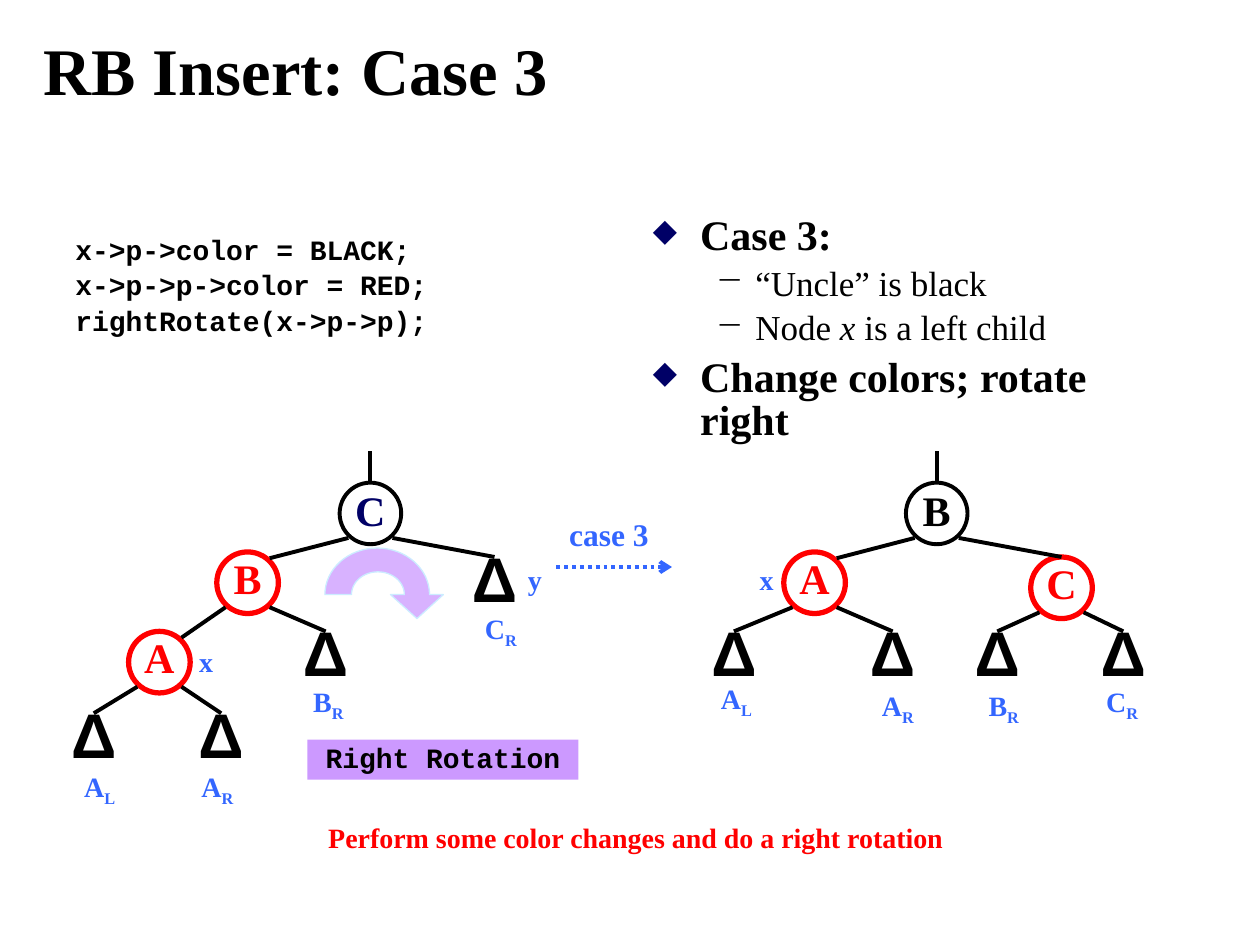
"""Builds the slide on case 3 of red-black tree insertion."""
from dataclasses import dataclass
from math import cos, pi, sin

from lxml import etree
from pptx import Presentation
from pptx.dml.color import RGBColor
from pptx.enum.dml import MSO_LINE
from pptx.enum.shapes import MSO_CONNECTOR, MSO_SHAPE
from pptx.enum.text import MSO_ANCHOR, PP_ALIGN
from pptx.oxml.ns import qn
from pptx.util import Pt

STRAIGHT = MSO_CONNECTOR.STRAIGHT
OVAL = MSO_SHAPE.OVAL
RECTANGLE = MSO_SHAPE.RECTANGLE
DOTTED = MSO_LINE.ROUND_DOT
TOP, MIDDLE, BOTTOM = MSO_ANCHOR.TOP, MSO_ANCHOR.MIDDLE, MSO_ANCHOR.BOTTOM
LEFT, CENTER = PP_ALIGN.LEFT, PP_ALIGN.CENTER


@dataclass(frozen=True)
class Theme:
    """Colours, fonts and sizes of the slide."""
    black: str = "000000"
    white: str = "FFFFFF"
    red: str = "FF0000"
    blue: str = "3366FF"
    navy: str = "000066"
    purple: str = "CC99FF"
    pale: str = "CCECFF"
    serif: str = "Times New Roman"
    sans: str = "Arial"
    mono: str = "Courier New"
    title: float = 38
    leaf: float = 36
    heading: float = 24
    detail: float = 20
    step: float = 18
    label: float = 16
    line: float = 2.25
    red_line: float = 3
    spacing: float = 0.85


THEME = Theme()
DIAMETER = 35.2
EDGE_X, EDGE_Y = 12.6, 14

LEFT_TREE = {
    "nodes": [("C", 211.7, 293.4, THEME.navy), ("B", 141.5, 333, THEME.red),
              ("A", 91.1, 378.4, THEME.red)],
    "leaves": [("AL", 53.6, 425.2), ("AR", 126.4, 425.2),
               ("BR", 186.1, 378.4), ("CR", 282.6, 335.9)],
    "edges": [("C", "B", -1), ("C", "CR", 1), ("B", "A", -1),
              ("B", "BR", 1), ("A", "AL", -1), ("A", "AR", 1)],
    "labels": [("A", "L", 56.9, 450.4), ("A", "R", 124.2, 450.4),
               ("B", "R", 187.6, 401.4), ("C", "R", 286.2, 359.6),
               ("x", "", 117.7, 379.4), ("y", "", 305.6, 332.6)],
}
RIGHT_TREE = {
    "nodes": [("B", 535.3, 293.4, THEME.black), ("A", 465.5, 333, THEME.red),
              ("C", 606.6, 335.9, THEME.red)],
    "leaves": [("AL", 419.4, 378.4), ("AR", 510.1, 378.4),
               ("BR", 569.9, 378.4), ("CR", 641.9, 378.4)],
    "edges": [("B", "A", -1), ("B", "C", 1), ("A", "AL", -1),
              ("A", "AR", 1), ("C", "BR", -1), ("C", "CR", 1)],
    "labels": [("A", "L", 420.8, 400), ("A", "R", 513, 403.6),
               ("B", "R", 573.5, 403.6), ("C", "R", 641.2, 401.4),
               ("x", "", 438.1, 332.6)],
}


def style(run, size, color, font=THEME.serif, bold=True):
    """Format one run."""
    run.font.size, run.font.name, run.font.bold = Pt(size), font, bold
    run.font.color.rgb = RGBColor.from_string(color)


def fill_text(shape, text, size, color, font=THEME.serif, align=CENTER,
              anchor=MIDDLE, spacing=THEME.spacing, gap=0, wrap=False):
    """Write uniformly styled lines into a shape."""
    frame = shape.text_frame
    frame.text = text
    frame.word_wrap, frame.vertical_anchor = wrap, anchor
    for index, paragraph in enumerate(frame.paragraphs):
        paragraph.alignment, paragraph.line_spacing = align, spacing
        if index and gap:
            paragraph.space_before = Pt(gap)
        for run in paragraph.runs:
            style(run, size, color, font)


def add_text(slide, box, text, size, color, **options):
    """Add a text box."""
    shape = slide.shapes.add_textbox(*map(Pt, box))
    fill_text(shape, text, size, color, **options)
    return shape


def add_label(slide, text, subscript, center_x, center_y):
    """Add a small blue label with an optional subscript."""
    box = (center_x - 19, center_y - 12.5, 38, 25)
    shape = add_text(slide, box, text, THEME.label, THEME.blue)
    if subscript:
        run = shape.text_frame.paragraphs[0].add_run()
        run.text = subscript
        style(run, THEME.label, THEME.blue)
        run.font._element.set("baseline", "-25000")


def add_shape(slide, kind, box, fill, line=None, width=0):
    """Add a flat preset shape."""
    shape = slide.shapes.add_shape(kind, *map(Pt, box))
    paint(shape, fill, line, width)
    return shape


def paint(shape, fill, line, width):
    """Set the fill and outline of a shape and drop its shadow."""
    shape.shadow.inherit = False
    shape.fill.solid()
    shape.fill.fore_color.rgb = RGBColor.from_string(fill)
    if line:
        shape.line.color.rgb = RGBColor.from_string(line)
        shape.line.width = Pt(width)
    else:
        shape.line.fill.background()


def add_line(slide, start, end, color=THEME.black):
    """Add a straight connector."""
    line = slide.shapes.add_connector(STRAIGHT, *map(Pt, (*start, *end)))
    line.line.color.rgb = RGBColor.from_string(color)
    line.line.width = Pt(THEME.line)
    etree.SubElement(line._element.spPr, qn("a:effectLst"))
    return line


def add_tree(slide, tree):
    """Draw the nodes, leaves, edges and labels of one tree."""
    shapes, centers = {}, {}
    circles = [(*node, False) for node in tree["nodes"]]
    circles += [(*leaf, THEME.black, True) for leaf in tree["leaves"]]
    for name, x, y, color, is_leaf in circles:
        red = color == THEME.red
        outline = None if is_leaf else THEME.red if red else THEME.black
        box = (x - DIAMETER / 2, y - DIAMETER / 2, DIAMETER, DIAMETER)
        shape = add_shape(slide, OVAL, box, THEME.white, outline,
                          THEME.red_line if red else THEME.line)
        if is_leaf:
            fill_text(shape, "Δ", THEME.leaf, color, THEME.sans, spacing=0.65)
        else:
            fill_text(shape, name, THEME.heading, color, spacing=0.75 if red else THEME.spacing)
        shapes[name], centers[name] = shape, (x, y)
    for parent, child, side in tree["edges"]:
        (x, y), (child_x, child_y) = centers[parent], centers[child]
        end = (child_x - side * EDGE_X, child_y - EDGE_Y)
        edge = add_line(slide, (x + side * EDGE_X, y + EDGE_Y), end)
        if len(child) == 2 or side > 0:
            edge.end_connect(shapes[child], 0)
    root, x, y, _ = tree["nodes"][0]
    stem = add_line(slide, (x, 257.8), (x, y - DIAMETER / 2))
    stem.end_connect(shapes[root], 0)
    for label in tree["labels"]:
        add_label(slide, *label)


def add_bullets(slide):
    """Add the bulleted description of the case."""
    items = [(0, ["Case 3:"]), (1, ["“Uncle” is black"]),
             (1, ["Node ", "x", " is a left child"]),
             (0, ["Change colors; rotate right"])]
    levels = [(27, -27, 6, "◆", THEME.navy, 75, THEME.heading),
              (58.5, -22.5, 5, "−", THEME.black, 100, THEME.detail)]
    frame = slide.shapes.add_textbox(Pt(366), Pt(120), Pt(318), Pt(138)).text_frame
    frame.word_wrap = True
    for index, (level, pieces) in enumerate(items):
        margin, indent, gap, mark, color, percent, size = levels[level]
        paragraph = frame.add_paragraph() if index else frame.paragraphs[0]
        paragraph.level, paragraph.line_spacing = level, THEME.spacing
        if index:
            paragraph.space_before = Pt(gap)
        properties = paragraph._p.get_or_add_pPr()
        properties.set("marL", str(Pt(margin)))
        properties.set("indent", str(Pt(indent)))
        bullet_color = etree.SubElement(properties, qn("a:buClr"))
        etree.SubElement(bullet_color, qn("a:srgbClr"), val=color)
        etree.SubElement(properties, qn("a:buSzPct"), val=str(percent * 1000))
        etree.SubElement(properties, qn("a:buChar"), char=mark)
        for piece in pieces:
            run = paragraph.add_run()
            run.text = piece
            style(run, size, THEME.black, bold=level == 0)
            run.font.italic = piece == "x"


def add_rotation_arrow(slide):
    """Draw the translucent arched arrow that turns to the right."""
    base, steps = 339.8, 32
    angles = [pi * step / steps for step in range(steps + 1)]
    inner = [(216 + 15.1 * cos(a), base - 13 * sin(a)) for a in angles]
    outer = [(215.6 - 29.9 * cos(a), base - 26.6 * sin(a)) for a in angles]
    head = [(253.4, base), (238.3, 353.5), (223.2, base)]
    points = [(Pt(x), Pt(y)) for x, y in inner + outer + head]
    builder = slide.shapes.build_freeform(*points[0], scale=1.0)
    builder.add_line_segments(points[1:], close=True)
    arrow = builder.convert_to_shape()
    paint(arrow, THEME.purple, THEME.pale, 0.75)
    color = arrow._element.spPr.find(qn("a:solidFill")).find(qn("a:srgbClr"))
    etree.SubElement(color, qn("a:alpha"), val="75000")


def add_step_arrow(slide):
    """Add the dotted arrow between the two trees and its caption."""
    arrow = add_line(slide, (318, 324), (384, 324), THEME.blue)
    arrow.line.dash_style = DOTTED
    etree.SubElement(arrow.line._get_or_add_ln(), qn("a:tailEnd"), type="arrow")
    add_text(slide, (318, 294.5, 60, 24.5), "case 3", THEME.step, THEME.blue)


def main():
    """Build and save the slide."""
    presentation = Presentation()
    presentation.slide_width, presentation.slide_height = Pt(720), Pt(540)
    slide = presentation.slides.add_slide(presentation.slide_layouts[6])
    add_text(slide, (18, 18, 678, 48), "RB Insert: Case 3", THEME.title, THEME.black,
             align=LEFT, anchor=BOTTOM, spacing=1.0, wrap=True)
    code = "x->p->color = BLACK;\nx->p->p->color = RED;\nrightRotate(x->p->p);"
    add_text(slide, (36, 132, 318, 132), code, THEME.label, THEME.black,
             font=THEME.mono, align=LEFT, anchor=TOP, gap=4, wrap=True)
    add_bullets(slide)
    add_step_arrow(slide)
    add_tree(slide, RIGHT_TREE)
    add_tree(slide, LEFT_TREE)
    add_text(slide, (180, 468.7, 366.5, 23), "Perform some color changes and do a right rotation",
             THEME.label, THEME.red)
    add_rotation_arrow(slide)
    banner = add_shape(slide, RECTANGLE, (175.7, 422.6, 154.8, 23), THEME.purple)
    fill_text(banner, "Right Rotation", THEME.label, THEME.black, THEME.mono, anchor=TOP, wrap=True)
    presentation.save("out.pptx")


if __name__ == "__main__":
    main()
